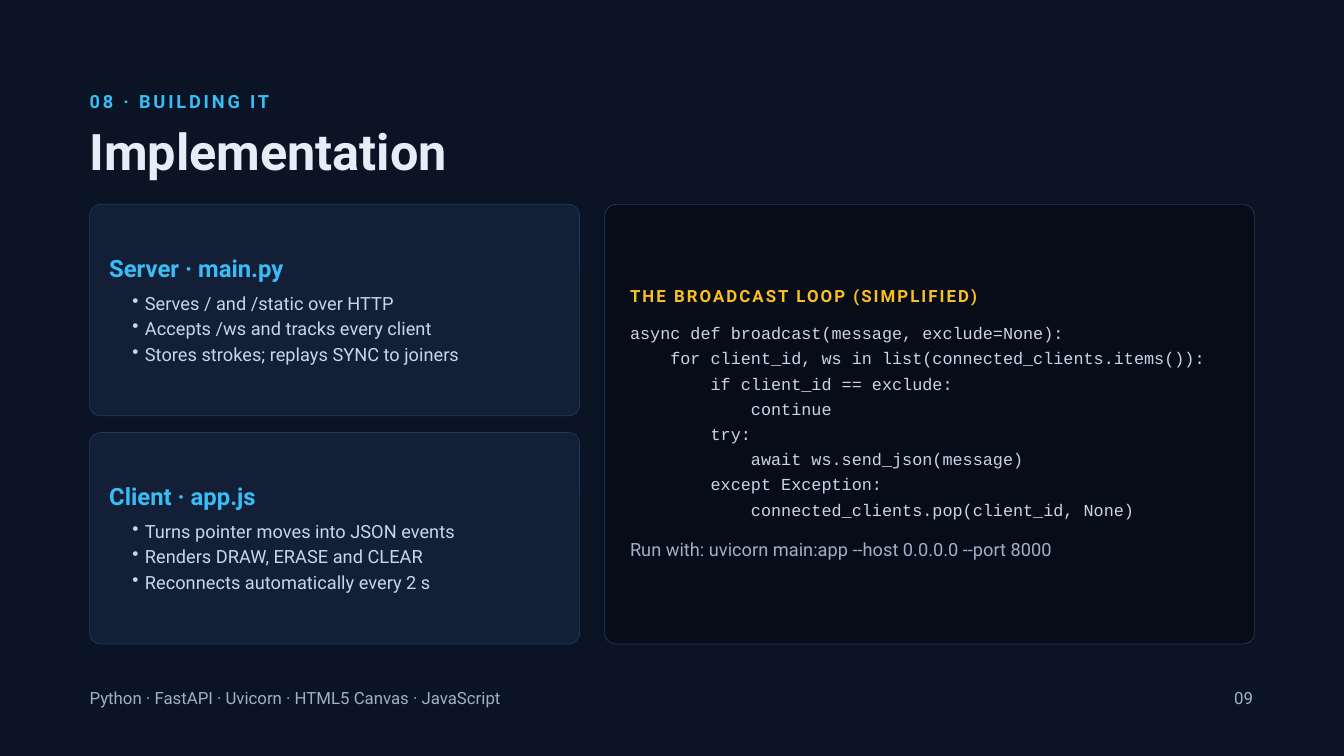
from dataclasses import dataclass

from lxml.etree import SubElement
from pptx import Presentation
from pptx.dml.color import RGBColor
from pptx.enum.shapes import MSO_SHAPE
from pptx.enum.text import MSO_ANCHOR, MSO_AUTO_SIZE, PP_ALIGN
from pptx.oxml.ns import qn
from pptx.util import Pt

EMU_PER_PX = 9525
COLORS = {
    "page": "0B1424",
    "card": "121F36",
    "code_card": "060D19",
    "border": "223A5E",
    "accent": "38BDF8",
    "title": "E6EDF7",
    "body": "C9D6E8",
    "muted": "9FB0C8",
    "amber": "FBBF24",
}
LEFT = 128
TOP = 292
CARD_WIDTH = 700
CARD_HEIGHT = 302
CARD_STEP = 326
CODE_LEFT = 900

CODE = """\
async def broadcast(message, exclude=None):
    for client_id, ws in list(connected_clients.items()):
        if client_id == exclude:
            continue
        try:
            await ws.send_json(message)
        except Exception:
            connected_clients.pop(client_id, None)"""


@dataclass(frozen=True)
class Area:
    left: int
    top: int
    width: int
    height: int

    def emu(self) -> tuple[int, ...]:
        return tuple(px(n) for n in (self.left, self.top, self.width, self.height))


@dataclass(frozen=True)
class Topic:
    heading: str
    points: tuple[str, ...]


TOPICS = (
    Topic("Server · main.py", (
        "Serves / and /static over HTTP",
        "Accepts /ws and tracks every client",
        "Stores strokes; replays SYNC to joiners",
    )),
    Topic("Client · app.js", (
        "Turns pointer moves into JSON events",
        "Renders DRAW, ERASE and CLEAR",
        "Reconnects automatically every 2 s",
    )),
)


def px(length: int) -> int:
    return length * EMU_PER_PX


def rgb(name: str) -> RGBColor:
    return RGBColor.from_string(COLORS[name])


def add_bullet(para) -> None:
    properties = para._p.get_or_add_pPr()
    properties.set("marL", str(px(37)))
    properties.set("indent", str(px(-18)))
    SubElement(properties, qn("a:buChar")).set("char", "•")


def write(box, text: str, *, size: int, color: str, leading: float,
          font: str = "Roboto", bold: bool = False, tracking: float = 0,
          bullets: bool = False) -> None:
    """Fill a box with one paragraph per line; size in px, leading and tracking in points."""
    frame = box.text_frame
    frame.word_wrap = True
    frame.auto_size = MSO_AUTO_SIZE.NONE
    frame.vertical_anchor = MSO_ANCHOR.TOP
    frame.margin_left = frame.margin_top = frame.margin_right = frame.margin_bottom = 0
    for index, line in enumerate(text.split("\n")):
        para = frame.add_paragraph() if index else frame.paragraphs[0]
        para.alignment = PP_ALIGN.LEFT
        para.line_spacing = Pt(leading)
        if bullets:
            para.level = 1
            add_bullet(para)
        span = para.add_run()
        span.text = line
        span.font.name = font
        span.font.size = px(size)
        span.font.bold = bold
        span.font.color.rgb = rgb(color)
        if tracking:
            span._r.get_or_add_rPr().set("spc", str(round(tracking * 100)))


def add_text(page, area: Area, text: str, **text_format) -> None:
    write(page.shapes.add_textbox(*area.emu()), text, **text_format)


def add_card(page, area: Area, fill: str) -> None:
    card = page.shapes.add_shape(MSO_SHAPE.ROUNDED_RECTANGLE, *area.emu())
    card.adjustments[0] = 16 / min(area.width, area.height)
    card.shadow.inherit = False
    card.fill.solid()
    card.fill.fore_color.rgb = rgb(fill)
    card.line.color.rgb = rgb("border")
    card.line.width = Pt(0.75)


def add_topic(page, topic: Topic, top: int) -> None:
    add_card(page, Area(LEFT, top, CARD_WIDTH, CARD_HEIGHT), "card")
    add_text(page, Area(LEFT + 28, top + 70, 662, 44), topic.heading,
             size=34, color="accent", leading=30.6, bold=True)
    add_text(page, Area(LEFT + 42, top + 120, 647, 117), "\n".join(topic.points),
             size=26, color="body", leading=27.3, bullets=True)


def add_code_panel(page) -> None:
    add_card(page, Area(864, TOP, 928, CARD_STEP + CARD_HEIGHT), "code_card")
    add_text(page, Area(CODE_LEFT, 403, 880, 41), "THE BROADCAST LOOP (SIMPLIFIED)",
             size=24, color="amber", leading=25.2, bold=True, tracking=2.2)
    add_text(page, Area(CODE_LEFT, 454, 880, 298), CODE,
             size=24, color="body", leading=27, font="Courier New")
    add_text(page, Area(CODE_LEFT, 764, 880, 44),
             "Run with: uvicorn main:app --host 0.0.0.0 --port 8000",
             size=26, color="muted", leading=27.3)


def main() -> None:
    deck = Presentation()
    deck.slide_width, deck.slide_height = px(1920), px(1080)
    page = deck.slides.add_slide(deck.slide_layouts[5])
    page.background.fill.solid()
    page.background.fill.fore_color.rgb = rgb("page")

    add_text(page, Area(LEFT, 124, 1714, 44), "08 · BUILDING IT",
             size=26, color="accent", leading=27.3, bold=True, tracking=3)
    title = page.shapes.title
    title.left, title.top, title.width, title.height = Area(LEFT, 179, 1714, 82).emu()
    write(title, "Implementation", size=72, color="title", leading=59.4, bold=True)

    for index, topic in enumerate(TOPICS):
        add_topic(page, topic, TOP + index * CARD_STEP)
    add_code_panel(page)

    footer = {"size": 24, "color": "muted", "leading": 25.2}
    add_text(page, Area(LEFT, 978, 709, 41),
             "Python · FastAPI · Uvicorn · HTML5 Canvas · JavaScript", **footer)
    add_text(page, Area(1763, 978, 37, 41), "09", **footer)
    deck.save("out.pptx")


if __name__ == "__main__":
    main()
